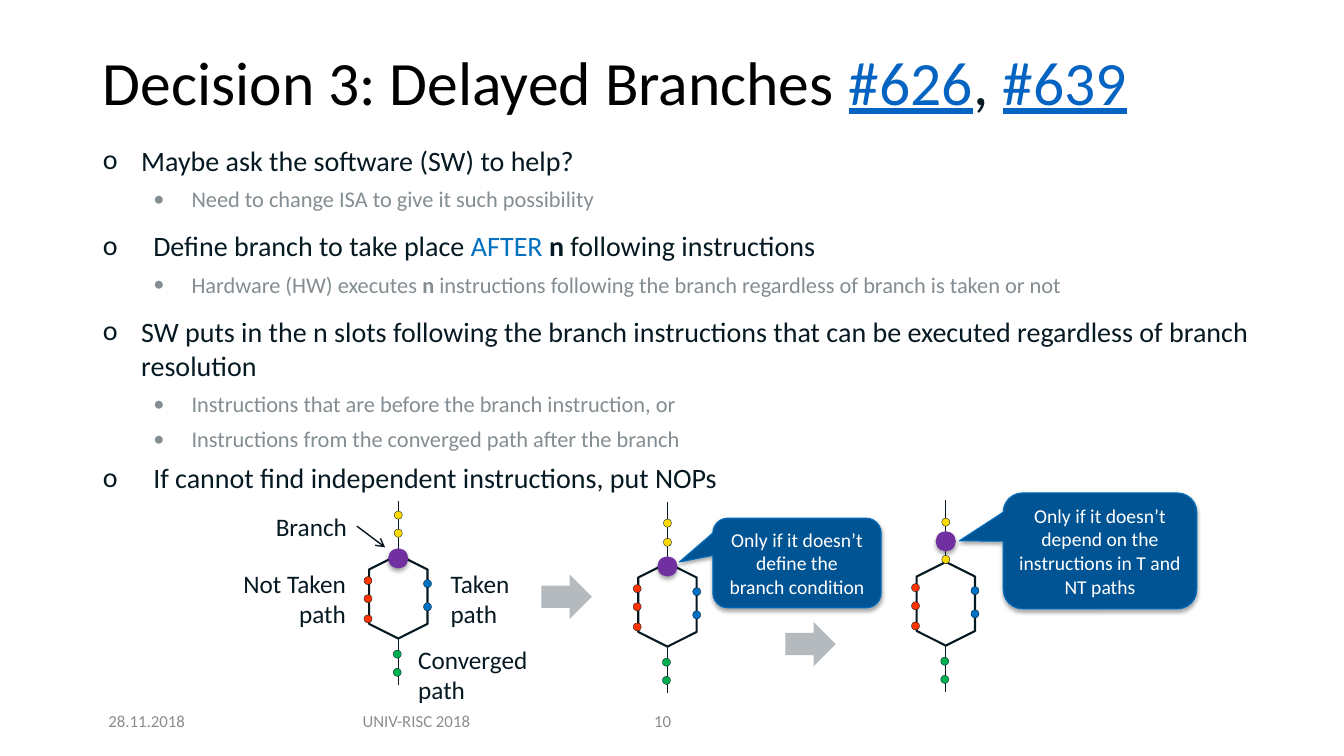
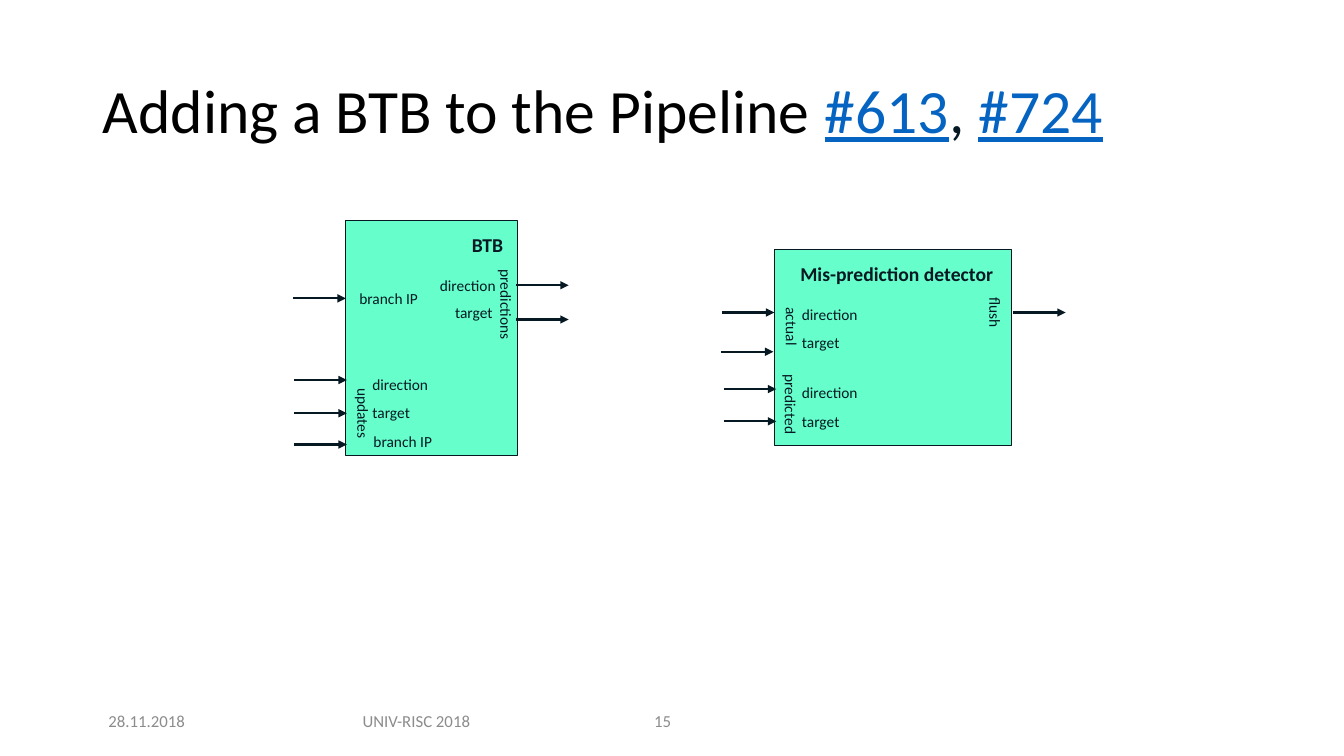
from lxml import etree
from pptx import Presentation
from pptx.dml.color import RGBColor
from pptx.enum.shapes import MSO_CONNECTOR, MSO_SHAPE
from pptx.enum.text import MSO_ANCHOR, MSO_AUTO_SIZE, PP_ALIGN
from pptx.oxml.ns import qn
from pptx.util import Inches, Pt

LEFT, CENTER, RIGHT = PP_ALIGN.LEFT, PP_ALIGN.CENTER, PP_ALIGN.RIGHT
TOP, MIDDLE = MSO_ANCHOR.TOP, MSO_ANCHOR.MIDDLE
NO_FIT = MSO_AUTO_SIZE.NONE
STRAIGHT = MSO_CONNECTOR.STRAIGHT
RECT, OVAL, HEXAGON = MSO_SHAPE.RECTANGLE, MSO_SHAPE.OVAL, MSO_SHAPE.HEXAGON
ARROW, CALLOUT = MSO_SHAPE.RIGHT_ARROW, MSO_SHAPE.ROUNDED_RECTANGULAR_CALLOUT

FONT = "Calibri"
COLORS = {
    "black": "000000", "ink": "061922", "white": "FFFFFF", "gray": "838D92",
    "footer": "8C8C8C", "link": "0563C1", "after": "0070C0",
    "branch": "7030A0", "yellow": "FFDA00", "red": "FF3300",
    "blue": "0071C5", "green": "00B050", "arrow": "B4BABD",
    "callout": "005493", "callout_line": "006FC1", "block": "66FFCC",
}
TITLE_LAYOUT, BODY_LAYOUT = 5, 1


def rgb(name):
    return RGBColor.from_string(COLORS[name])


def add_xml(parent, tag, **attrs):
    return etree.SubElement(parent, qn(tag), {k: str(v) for k, v in attrs.items()})


class Deck:
    def __init__(self):
        self.prs = Presentation()
        self.prs.slide_width, self.prs.slide_height = Inches(13.33), Inches(7.5)
        self.s = None

    def slide(self, layout, title, title_height, number):
        """Start a slide with its title and footer."""
        self.s = self.prs.slides.add_slide(self.prs.slide_layouts[layout])
        tf = self.place(self.s.shapes.title, 0.92, 0.4, 11.5, title_height, MIDDLE)
        p = tf.paragraphs[0]
        p.alignment, p.line_spacing = LEFT, 0.9
        self.runs(p, title, 44, "black")
        for text, x, w, align in (("28.11.2018", 0.92, 1.07, CENTER),
                                  ("UNIV-RISC 2018", 3.34, 1.58, CENTER),
                                  (number, 6.39, 0.79, LEFT)):
            self.text(text, x, 6.95, w, 0.4, 12, "footer", align, anchor=MIDDLE)

    def place(self, sp, x, y, w, h, anchor):
        sp.left, sp.top, sp.width, sp.height = map(Inches, (x, y, w, h))
        tf = sp.text_frame
        tf.word_wrap, tf.auto_size, tf.vertical_anchor = True, NO_FIT, anchor
        return tf

    def runs(self, p, parts, size, color):
        """Write parts: plain strings, or (text, color, bold, underline)."""
        for part in parts:
            text, tint, bold, underline = (
                (part, color, False, False) if isinstance(part, str) else part)
            r = p.add_run()
            r.text = text
            self.style(r.font, size, tint, bold)
            r.font.underline = underline

    def style(self, font, size, color, bold=False):
        font.name, font.size, font.bold = FONT, Pt(size), bold
        font.color.rgb = rgb(color)

    def bullets(self, x, y, w, h, items):
        """Fill the body; items are (level, left indent, hanging, space before, parts)."""
        tf = self.place(self.s.placeholders[1], x, y, w, h, TOP)
        for i, (level, left, hanging, before, parts) in enumerate(items):
            p = tf.paragraphs[0] if i == 0 else tf.add_paragraph()
            p.level, p.alignment = level, LEFT
            p.space_before = Pt(before)
            pPr = p._p.get_or_add_pPr()
            pPr.set("marL", str(Inches(left)))
            pPr.set("indent", str(-Inches(hanging)))
            add_xml(pPr, "a:buFont", typeface=FONT)
            add_xml(pPr, "a:buChar", char="•" if level else "o")
            self.runs(p, parts, *((16, "gray") if level else (20, "ink")))

    def text(self, text, x, y, w, h, size=18, color="ink", align=LEFT,
             bold=False, wrap=True, rotation=0, anchor=TOP):
        sp = self.s.shapes.add_textbox(0, 0, 0, 0)
        tf = self.place(sp, x, y, w, h, anchor)
        sp.rotation, tf.word_wrap = rotation, wrap
        tf.text = text
        p = tf.paragraphs[0]
        p.alignment = align
        self.style(p.runs[0].font, size, color, bold)

    def shape(self, kind, x, y, w, h, fill=None, line=None, width=0.75,
              shadow=False):
        sp = self.s.shapes.add_shape(kind, *map(Inches, (x, y, w, h)))
        sp.shadow.inherit = False
        if fill:
            sp.fill.solid()
            sp.fill.fore_color.rgb = rgb(fill)
        else:
            sp.fill.background()
        if line:
            sp.line.color.rgb, sp.line.width = rgb(line), Pt(width)
        else:
            sp.line.fill.background()
        if shadow:
            effects = sp.element.spPr.find(qn("a:effectLst"))
            outer = add_xml(effects, "a:outerShdw", blurRad=Pt(3.1), dist=Pt(1.8),
                            dir=5400000, rotWithShape=0)
            add_xml(add_xml(outer, "a:srgbClr", val=COLORS["black"]),
                    "a:alpha", val=35000)
        return sp

    def dot(self, cx, cy, fill, size=0.08, line="ink", shadow=False):
        self.shape(OVAL, cx - size / 2, cy - size / 2, size, size, fill, line,
                   0.25, shadow)

    def callout(self, text, x, y, w, h, tip):
        sp = self.shape(CALLOUT, x, y, w, h, "callout", "callout_line", shadow=True)
        sp.adjustments[0], sp.adjustments[1] = tip
        tf = sp.text_frame
        tf.word_wrap = True
        tf.text = text
        tf.paragraphs[0].alignment = CENTER
        self.style(tf.paragraphs[0].runs[0].font, 14, "white")

    def line(self, x1, y1, x2, y2, width=1.0, head=None):
        c = self.s.shapes.add_connector(STRAIGHT, *map(Inches, (x1, y1, x2, y2)))
        c.line.color.rgb, c.line.width = rgb("ink"), Pt(width)
        spPr = c.element.spPr
        if head:
            add_xml(spPr.find(qn("a:ln")), "a:tailEnd", type=head)
        add_xml(spPr, "a:effectLst")

    def flow_graph(self, cx, cy, top, branch, yellows):
        """Branch diagram around the hexagon centre; heights are offsets from it."""
        self.line(cx, cy + top, cx, cy - 0.42)
        self.line(cx, cy + 0.42, cx, cy + 0.88)
        self.shape(HEXAGON, cx - 0.415, cy - 0.29, 0.83, 0.58,
                   line="ink", width=1.5).rotation = 90
        self.dot(cx, cy + branch, "branch", 0.2, None, True)
        for color, dx, offsets in (("yellow", 0, yellows),
                                   ("red", -0.3, (-0.16, 0.02, 0.22)),
                                   ("blue", 0.29, (-0.13, 0.1)),
                                   ("green", -0.01, (0.57, 0.75))):
            for dy in offsets:
                self.dot(cx + dx, cy + dy, color)

    def block(self, x, y, w, h, arrows, labels, side_labels):
        """Hardware block with arrows (x, y), labels and vertical labels."""
        self.shape(RECT, x, y, w, h, "block", "ink")
        for ax, ay in arrows:
            self.line(ax, ay, ax + 0.52, ay, 1.5, "triangle")
        for text, lx, ly, lw in labels:
            self.text(text, lx, ly, lw, 0.29, 11, align=CENTER, wrap=False)
        for text, cx, cy in side_labels:
            self.text(text, cx - 0.48, cy - 0.145, 0.96, 0.29, 11,
                      align=CENTER, wrap=False, rotation=90)


def link(text):
    return text, "link", False, True


COMMA = (", ", "ink", False, False)
deck = Deck()

# Slide 1: delayed branches
deck.slide(BODY_LAYOUT, ["Decision 3: Delayed Branches ", link("#626"), COMMA,
                         link("#639")], 0.89, "10")
deck.bullets(0.92, 1.37, 11.58, 3.62, [
    (0, 0.38, 0.38, 12, ["Maybe ask the software (SW) to help?"]),
    (1, 0.88, 0.38, 6, ["Need to change ISA to give it such possibility"]),
    (0, 0.5, 0.5, 12, ["Define branch to take place ",
                       ("AFTER ", "after", False, False),
                       ("n", "ink", True, False), " following instructions"]),
    (1, 0.88, 0.38, 6, ["Hardware (HW) executes ", ("n ", "gray", True, False),
                        "instructions following the branch regardless of "
                        "branch is taken or not"]),
    (0, 0.38, 0.38, 12, ["SW puts in the n slots following the branch instructions "
                         "that can be executed regardless of branch resolution"]),
    (1, 0.88, 0.38, 6, ["Instructions that are before the branch instruction, or"]),
    (1, 0.88, 0.38, 6, ["Instructions from the converged path after the branch"]),
    (0, 0.5, 0.5, 6, ["If cannot find independent instructions, put NOPs"]),
])

# Branch diagrams: before, and the two ways to fill the slots
deck.flow_graph(3.95, 5.92, -0.95, -0.38, (-0.81, -0.63))
deck.flow_graph(6.62, 6.0, -1.02, -0.38, (-0.81, -0.62))
deck.flow_graph(9.38, 5.99, -1.03, -0.62, (-0.81, -0.44))

# Labels of the first diagram
deck.text("Branch", 2.54, 5.02, 1, 0.4, align=RIGHT)
deck.line(3.54, 5.22, 3.82, 5.43, head="arrow")
deck.text("Not Taken path", 2.2, 5.59, 1.33, 0.71, align=RIGHT)
deck.text("Taken path", 4.37, 5.59, 1, 0.71)
deck.text("Converged path", 4.05, 6.34, 1.4, 0.71)

# Conditions and transitions
deck.callout("Only if it doesn’t depend on the instructions in T and NT paths",
             9.95, 4.89, 1.92, 1.15, (-0.727, -0.087))
deck.callout("Only if it doesn’t define the branch condition",
             7.07, 5.14, 1.67, 0.89, (-0.699, -0.011))
for x, y in ((5.37, 5.7), (7.79, 6.17)):
    deck.shape(ARROW, x, y, 0.5, 0.44, "arrow")

# Slide 2: branch target buffer
deck.slide(TITLE_LAYOUT, ["Adding a BTB to the Pipeline ", link("#613"), COMMA,
                          link("#724")], 1.45, "15")

# Mis-prediction detector
deck.block(7.68, 2.48, 2.35, 1.94,
           [(7.16, 3.1), (7.15, 3.49), (7.18, 3.86), (7.18, 4.18), (10.05, 3.1)],
           [("direction", 7.85, 2.98, 0.76), ("target", 7.85, 3.26, 0.58),
            ("direction", 7.85, 3.75, 0.76), ("target", 7.85, 4.04, 0.58)],
           [("actual", 7.85, 3.24), ("predicted", 7.84, 4.01), ("flush", 9.87, 3.1)])
deck.text("Mis-prediction detector", 7.83, 2.55, 2.13, 0.34, 14,
          align=CENTER, bold=True, wrap=False)

# BTB
deck.block(3.43, 2.19, 1.7, 2.33,
           [(2.91, 2.96), (2.92, 3.77), (2.92, 4.1), (2.92, 4.41),
            (5.12, 2.83), (5.12, 3.17)],
           [("branch IP", 3.46, 2.82, 0.79), ("direction", 4.26, 2.69, 0.76),
            ("target", 4.41, 2.96, 0.58), ("direction", 3.59, 3.67, 0.76),
            ("target", 3.59, 3.95, 0.58), ("branch IP", 3.6, 4.24, 0.79)],
           [("updates", 3.6, 4.1), ("predictions", 5.02, 3.02)])
deck.text("BTB", 4.58, 2.26, 0.51, 0.34, 14, align=CENTER, bold=True, wrap=False)

deck.prs.save("out.pptx")
